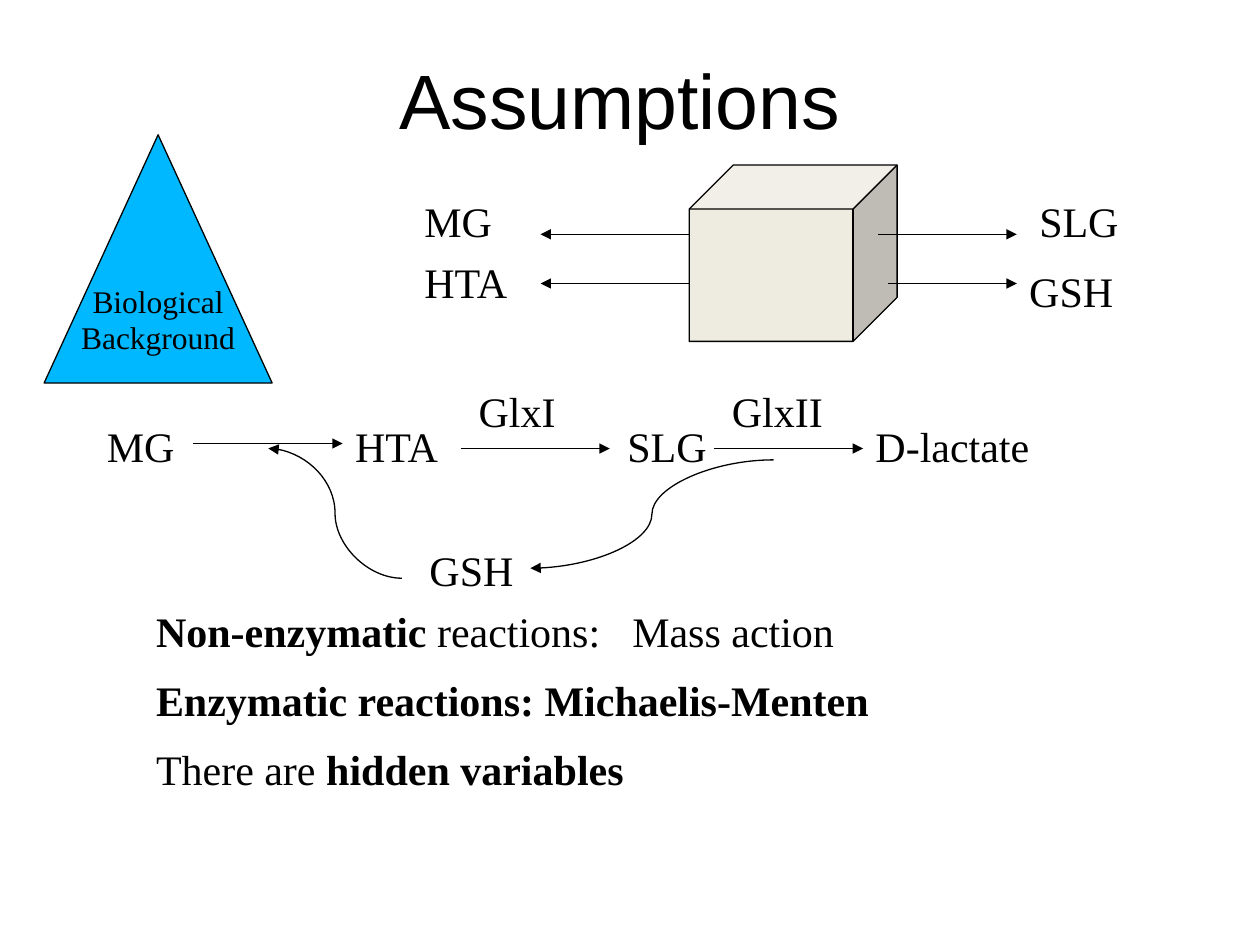
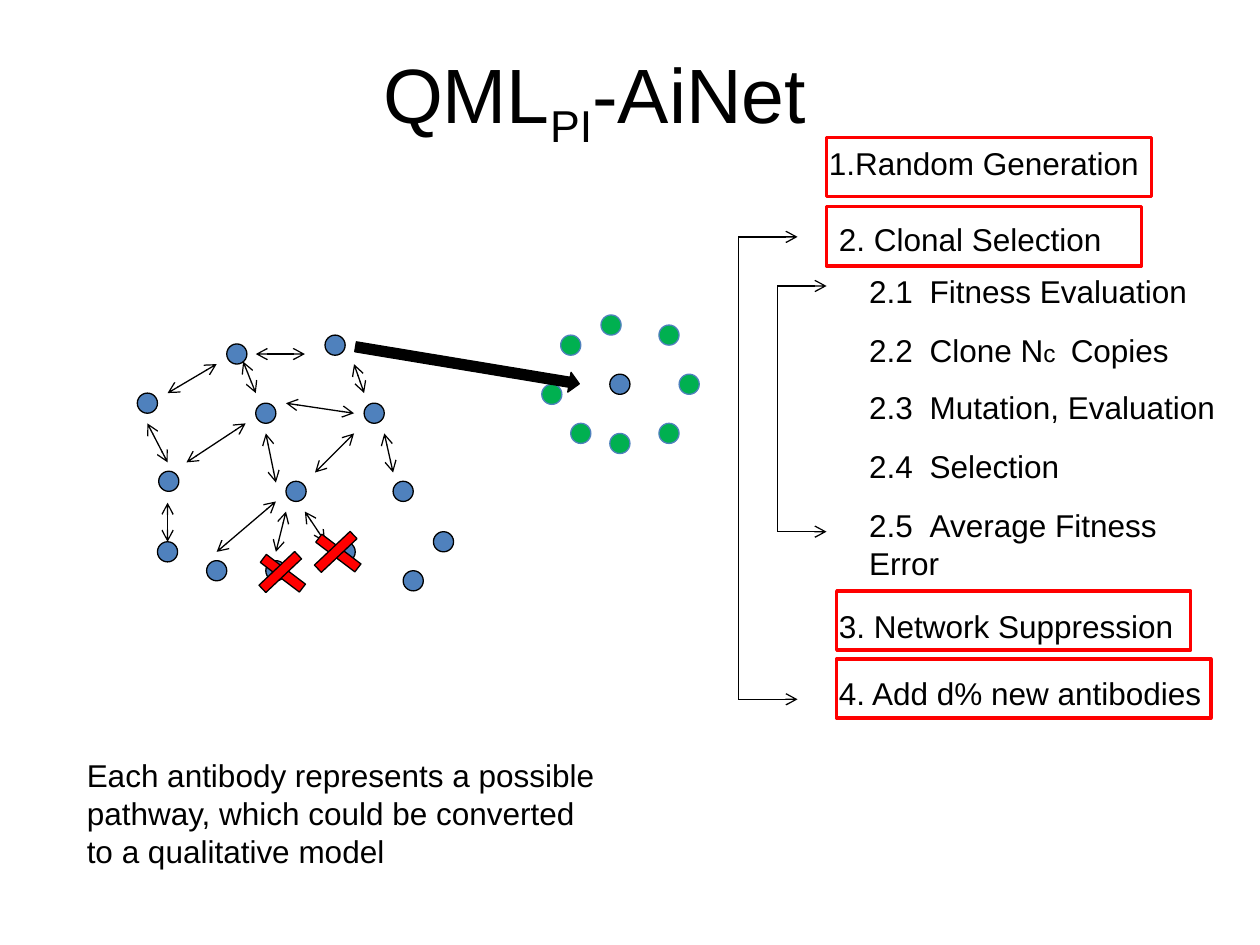
from pptx import Presentation
from pptx.dml.color import RGBColor
from pptx.enum.shapes import MSO_CONNECTOR, MSO_SHAPE
from pptx.enum.text import MSO_ANCHOR, PP_ALIGN
from pptx.oxml.ns import qn
from pptx.util import Inches, Pt
from lxml import etree

BLACK = RGBColor(0x00, 0x00, 0x00)
WHITE = RGBColor(0xFF, 0xFF, 0xFF)
RED = RGBColor(0xFF, 0x00, 0x00)
BLUE = RGBColor(0x4F, 0x81, 0xBD)
GREEN = RGBColor(0x00, 0xB0, 0x50)
CYAN = RGBColor(0x00, 0xB8, 0xFF)
CREAM = RGBColor(0xEE, 0xEC, 0xE1)

SANS = "Arial"
SERIF = "Times New Roman"
CENTER = PP_ALIGN.CENTER
MIDDLE = MSO_ANCHOR.MIDDLE
TOP = MSO_ANCHOR.TOP
STRAIGHT = MSO_CONNECTOR.STRAIGHT
CURVE = MSO_CONNECTOR.CURVE
RECTANGLE = MSO_SHAPE.RECTANGLE
OVAL = MSO_SHAPE.OVAL
CUBE = MSO_SHAPE.CUBE
TRIANGLE = MSO_SHAPE.ISOSCELES_TRIANGLE
RIGHT_ARROW = MSO_SHAPE.RIGHT_ARROW

DOT = 0.16


def set_tabs(para, stops):
    tab_list = etree.SubElement(para._p.get_or_add_pPr(), qn("a:tabLst"))
    for stop in stops:
        etree.SubElement(tab_list, qn("a:tab"), pos=str(Inches(stop)), algn="l")


def write_span(para, text, size=18, font=SANS, bold=False, baseline=None):
    span = para.add_run()
    span.text = text
    span.font.size = Pt(size)
    span.font.name = font
    span.font.bold = bold
    span.font.color.rgb = BLACK
    if baseline is not None:
        span.font._element.set("baseline", str(baseline))


def write_paragraphs(frame, paragraphs, align=None, spacing=None, before=0,
                     tabs=(), **style):
    for index, spans in enumerate(paragraphs):
        para = frame.add_paragraph() if index else frame.paragraphs[0]
        if tabs:
            set_tabs(para, tabs)
        if align is not None:
            para.alignment = align
        if spacing:
            para.line_spacing = spacing
        if index and before:
            para.space_before = Pt(before)
        for text, changes in spans:
            write_span(para, text, **{**style, **changes})


def add_text(page, place, *spans, anchor=TOP, **style):
    add_paragraphs(page, place, [spans], anchor, **style)


def add_paragraphs(page, place, paragraphs, anchor=TOP, **style):
    box = page.shapes.add_textbox(*map(Inches, place))
    box.text_frame.word_wrap = True
    box.text_frame.vertical_anchor = anchor
    write_paragraphs(box.text_frame, paragraphs, **style)


def add_title(page, place, *spans):
    add_text(page, place, *spans, anchor=MIDDLE, align=CENTER, size=44)


def add_figure(page, kind, place, fill, line=BLACK, width=0.75, rotation=0):
    figure = page.shapes.add_shape(kind, *map(Inches, place))
    figure.shadow.inherit = False
    figure.fill.solid()
    figure.fill.fore_color.rgb = fill
    figure.line.color.rgb = line
    figure.line.width = Pt(width)
    figure.rotation = rotation
    return figure


def add_line(page, start, end, kind=STRAIGHT, head=None, tail=None):
    line = page.shapes.add_connector(kind, *map(Inches, (*start, *end)))
    line.line.color.rgb = BLACK
    line.line.width = Pt(0.75)
    outline = line.line._get_or_add_ln()
    for name, arrow in (("a:headEnd", head), ("a:tailEnd", tail)):
        if arrow:
            etree.SubElement(outline, qn(name), type=arrow)
    etree.SubElement(line._element.spPr, qn("a:effectLst"))


def add_bracket(page, left, tip, top, bottom):
    add_line(page, (left, top), (left, bottom))
    for level in (top, bottom):
        add_line(page, (left, level), (tip, level), tail="arrow")


def add_dots(page, places, fill, line):
    for left, top in places:
        add_figure(page, OVAL, (left, top, DOT, DOT), fill, line)


def add_cross(page, left, top):
    add_figure(page, RECTANGLE, (left + 0.02, top + 0.01, 0.39, 0.08), RED, rotation=37.2)
    add_figure(page, RECTANGLE, (left, top, 0.39, 0.08), RED, rotation=316.7)


def build_assumptions(page):
    add_title(page, (0.67, 0, 8.5, 1.57), ("Assumptions", {}))

    for text, left, top, width in (
        ("MG", 0.75, 3.32, 1.38), ("HTA", 2.72, 3.32, 1.18),
        ("SLG", 4.88, 3.32, 0.98), ("D-lactate", 6.85, 3.32, 1.57),
        ("GlxI", 3.7, 3.04, 0.98), ("GlxII", 5.71, 3.04, 0.98),
        ("GSH", 3.31, 4.3, 0.98),
    ):
        add_text(page, (left, top, width, 0.47), (text, {}),
                 size=24, font=SERIF, spacing=0.95)
    for left, right, level in ((1.53, 2.72, 3.52), (3.66, 4.84, 3.56), (5.67, 6.85, 3.56)):
        add_line(page, (left, level), (right, level), tail="triangle")
    add_line(page, (6.14, 3.65), (4.21, 4.51), CURVE, tail="triangle")
    add_line(page, (3.19, 4.59), (2.13, 3.56), CURVE, tail="triangle")

    bold = {"bold": True}
    add_paragraphs(page, (1.14, 4.8, 6.93, 2.17), [
        [("Non-enzymatic", bold), (" reactions:\tMass action", {})],
        [("Enzymatic reactions: Michaelis-Menten", bold)],
        [("There are ", {}), ("hidden variables", bold)],
    ], size=24, font=SERIF, spacing=0.9, before=13.5, tabs=(3.78,))

    add_figure(page, CUBE, (5.47, 1.31, 1.65, 1.4), CREAM)
    for level, right_start in ((1.86, 6.97), (2.25, 7.05)):
        add_line(page, (5.47, level), (4.29, level), tail="triangle")
        add_line(page, (right_start, level), (8.07, level), tail="triangle")
    for text, left, top in (("MG", 3.27, 1.55), ("HTA", 3.27, 2.03),
                            ("GSH", 8.07, 2.1), ("SLG", 8.15, 1.55)):
        add_text(page, (left, top, 0.94, 0.46), (text, {}),
                 size=24, font=SERIF, spacing=0.9)

    triangle = add_figure(page, TRIANGLE, (0.35, 1.07, 1.81, 1.97), CYAN)
    triangle.text_frame.word_wrap = False
    triangle.text_frame.vertical_anchor = MIDDLE
    write_paragraphs(triangle.text_frame,
                     [[("Biological", {})], [("Background", {})]],
                     align=CENTER, spacing=0.95, font=SERIF)


def build_network(page):
    add_dots(page, (
        (1.09, 3.12), (1.26, 3.74), (2.89, 3.2), (1.25, 4.3), (2.27, 3.82),
        (2.58, 2.66), (3.12, 3.82), (1.8, 2.73), (1.64, 4.45), (2.11, 4.45),
        (2.66, 4.3), (2.03, 3.2), (4.84, 2.97), (3.2, 4.53), (3.44, 4.22),
    ), BLUE, BLACK)
    add_dots(page, (
        (4.53, 3.36), (4.84, 3.44), (5.23, 3.36), (4.3, 3.05),
        (5.39, 2.97), (4.77, 2.5), (5.23, 2.58), (4.45, 2.66),
    ), GREEN, BLUE)
    add_figure(page, RIGHT_ARROW, (2.81, 2.82, 1.8, 0.16), BLACK, rotation=9.4)
    for start, end in (
        ((1.48, 3.67), (1.95, 3.36)), ((2.11, 3.44), (2.19, 3.83)),
        ((1.33, 3.99), (1.33, 4.3)), ((2.03, 3.12), (1.93, 2.87)),
        ((1.33, 3.12), (1.72, 2.89)), ((2.27, 3.2), (2.81, 3.28)),
        ((3.05, 3.44), (3.12, 3.75)), ((2.81, 3.44), (2.5, 3.75)),
        ((2.42, 4.06), (2.58, 4.3)), ((2.19, 3.98), (1.72, 4.38)),
        ((2.27, 4.06), (2.19, 4.38)), ((2.03, 2.81), (2.42, 2.81)),
        ((2.81, 2.89), (2.89, 3.12)), ((1.17, 3.36), (1.33, 3.67)),
    ):
        add_line(page, start, end, head="arrow", tail="arrow")
    add_cross(page, 2.47, 4.34)
    add_cross(page, 2.03, 4.5)


def build_steps(page):
    for left, top, width in ((6.56, 1.64, 2.5), (6.64, 5.23, 2.97),
                             (6.64, 4.69, 2.81), (6.56, 1.09, 2.58)):
        add_figure(page, RECTANGLE, (left, top, width, 0.47), WHITE, RED, 2)
    for text, left, top, width in (
        ("1.Random Generation", 6.48, 1.09, 2.81),
        ("2. Clonal Selection", 6.56, 1.7, 2.81),
        ("3. Network Suppression", 6.56, 4.77, 3.05),
        ("4. Add d% new antibodies", 6.56, 5.3, 3.2),
    ):
        add_text(page, (left, top, width, 0.4), (text, {}))
    for top, height, *spans in (
        (2.11, 0.4, ("2.1\tFitness Evaluation", {})),
        (2.58, 0.4, ("2.2\tClone N", {}), ("c", {"size": 14}), ("\tCopies", {})),
        (3.03, 0.4, ("2.3\tMutation, Evaluation", {})),
        (3.5, 0.4, ("2.4\tSelection", {})),
        (3.97, 0.71, ("2.5\tAverage Fitness Error", {})),
    ):
        add_text(page, (6.8, top, 2.97, height), *spans, tabs=(0.48, 1.6))
    add_bracket(page, 5.86, 6.33, 1.88, 5.55)
    add_bracket(page, 6.17, 6.56, 2.27, 4.22)


def build_ainet(page):
    build_steps(page)
    add_title(page, (0.47, 0.16, 8.5, 1.25),
              ("QML", {}), ("PI", {"baseline": -25000}), ("-AiNet", {}))
    build_network(page)
    add_text(page, (0.59, 5.95, 4.25, 1.01),
             ("Each antibody represents a possible pathway, "
              "which could be converted to a qualitative model", {}))


def main():
    deck = Presentation()
    deck.slide_width = Inches(10)
    deck.slide_height = Inches(7.5)
    for build in (build_assumptions, build_ainet):
        build(deck.slides.add_slide(deck.slide_layouts[6]))
    deck.save("out.pptx")


if __name__ == "__main__":
    main()
